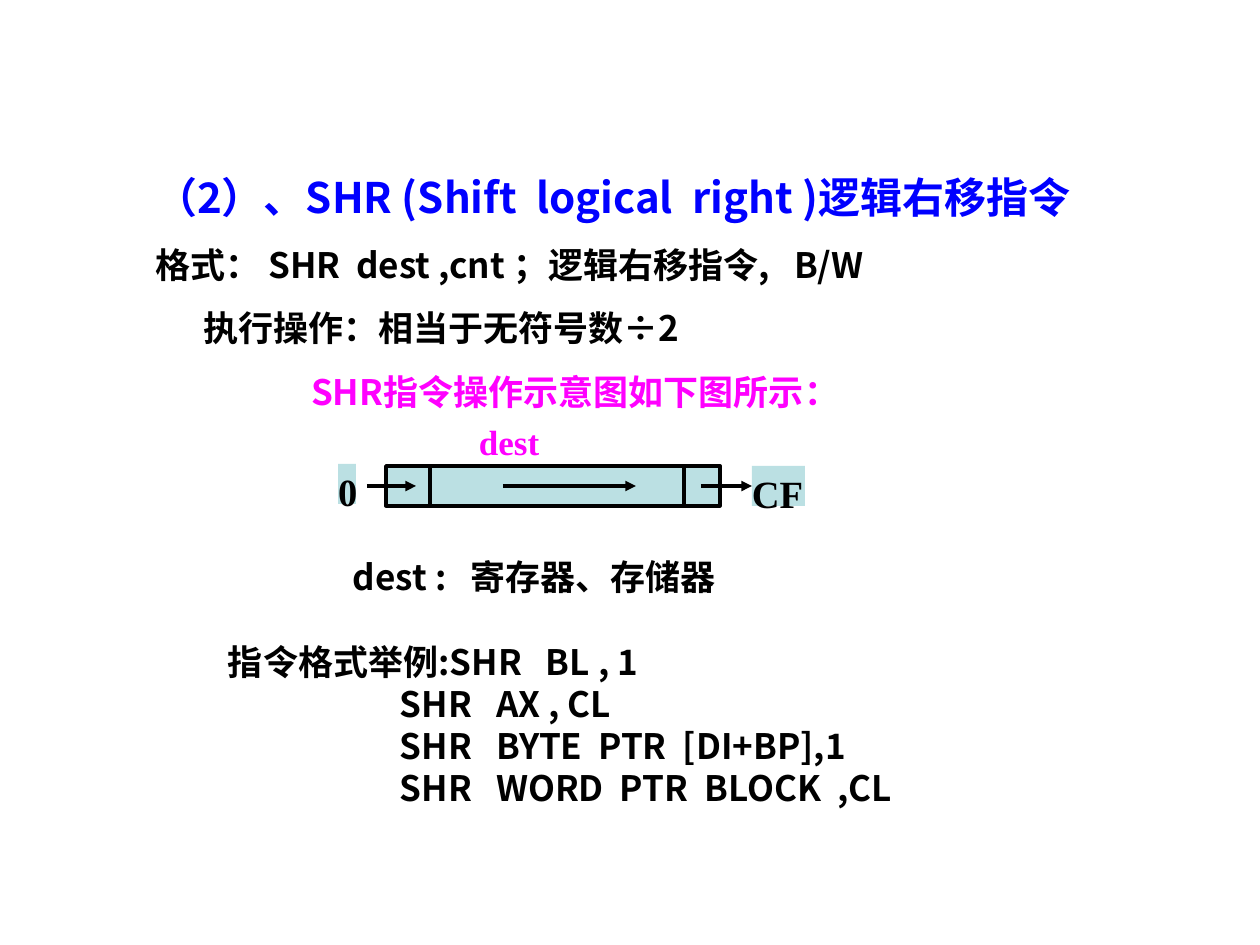
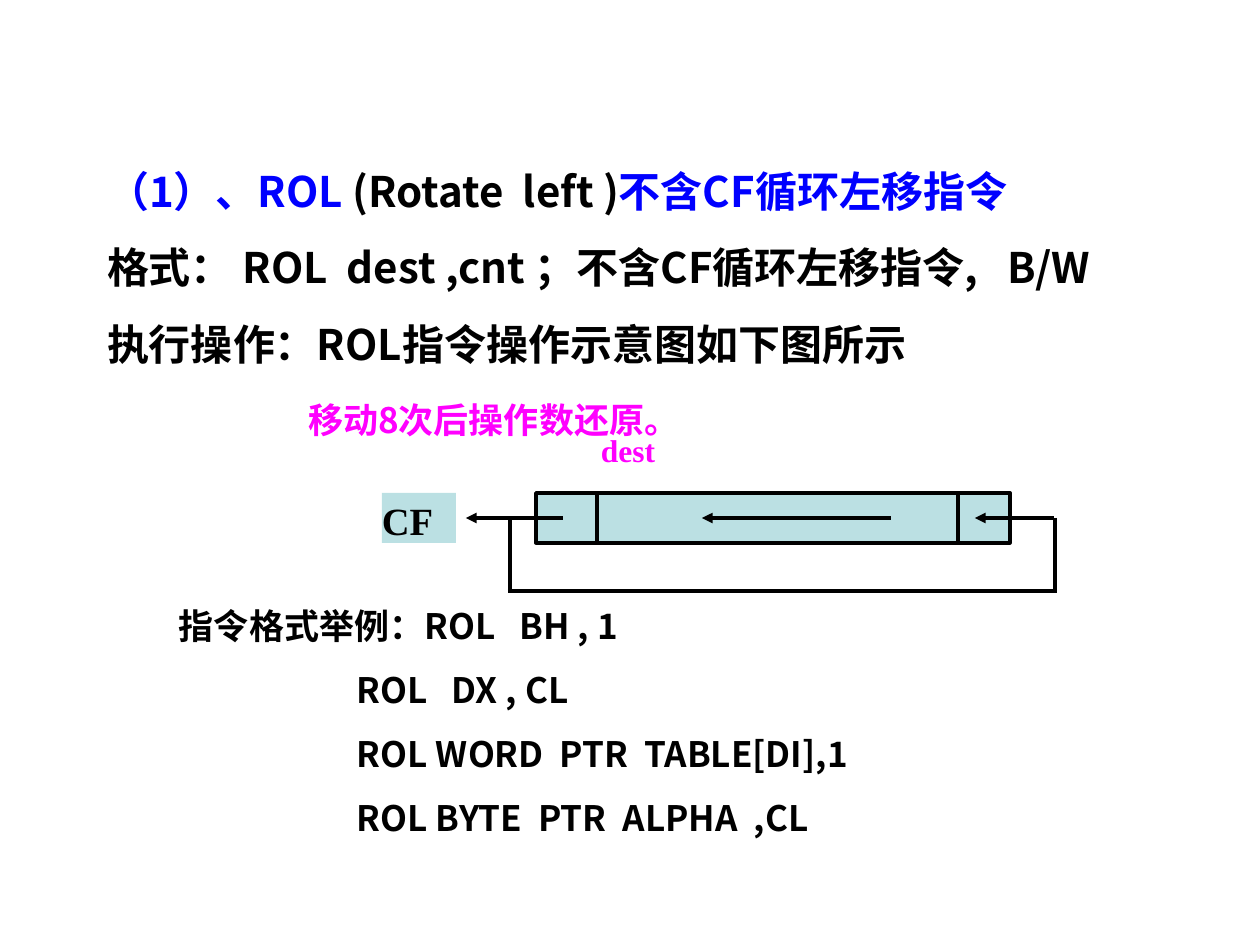
from lxml import etree
from pptx import Presentation
from pptx.dml.color import RGBColor
from pptx.enum.shapes import MSO_CONNECTOR, MSO_SHAPE
from pptx.enum.text import MSO_ANCHOR, MSO_AUTO_SIZE, PP_ALIGN
from pptx.oxml.ns import qn
from pptx.util import Emu, Pt

LINE, RECT = MSO_CONNECTOR.STRAIGHT, MSO_SHAPE.RECTANGLE
TOP, LEFT, FIXED = MSO_ANCHOR.TOP, PP_ALIGN.LEFT, MSO_AUTO_SIZE.NONE

SCALE = 914400 / 126
COLORS = {"ink": "000000", "blue": "0000FF", "pink": "FF00FF", "cell": "BBE0E3"}
SANS, SERIF = "Noto Sans CJK SC", "Times New Roman"
PAD = (13, 6, 13, 6)


def px(num):
    return Emu(round(num * SCALE))


def rgb(name):
    return RGBColor.from_string(COLORS[name])


def write(para, text, *, size=20, color="ink", font=SANS, indent=0, gap=0):
    """Fill a paragraph; text is a string or a list of (text, color) runs."""
    props = para._p.get_or_add_pPr()
    props.set("marL", str(px(indent)))
    props.set("indent", "0")
    etree.SubElement(props, qn("a:buNone"))
    para.alignment = LEFT
    para.space_before = Pt(gap)
    if font == SANS:
        para.line_spacing = Pt(size * 1.2)
    for part, tint in [(text, color)] if isinstance(text, str) else text:
        run = para.add_run()
        run.text = part
        run.font.size, run.font.bold = Pt(size), True
        run.font.color.rgb = rgb(tint)
        run.font.name = font
        east = etree.SubElement(run._r.get_or_add_rPr(), qn("a:ea"))
        east.set("typeface", font)


class Deck:
    def __init__(self):
        self.prs = Presentation()
        self.prs.slide_width, self.prs.slide_height = px(1260), px(945)
        self.slide = None

    def start(self):
        self.slide = self.prs.slides.add_slide(self.prs.slide_layouts[1])

    def fill(self, shape, rows, pad=PAD):
        """Write rows of (text, format) into a shape."""
        frame = shape.text_frame
        frame.word_wrap, frame.auto_size = True, FIXED
        frame.vertical_anchor = TOP
        (frame.margin_left, frame.margin_top,
         frame.margin_right, frame.margin_bottom) = map(px, pad)
        for i, (text, style) in enumerate(rows):
            para = frame.add_paragraph() if i else frame.paragraphs[0]
            write(para, text, **style)

    def place(self, shape, box, rows):
        shape.left, shape.top, shape.width, shape.height = map(px, box)
        self.fill(shape, rows)

    def title(self, box, text):
        self.place(self.slide.shapes.title, box,
                   [(text, dict(size=24, color="blue"))])

    def body(self, box, rows):
        self.place(self.slide.placeholders[1], box, rows)

    def note(self, box, rows):
        self.fill(self.slide.shapes.add_textbox(*map(px, box)), rows)

    def label(self, box, size):
        self.note(box, [("dest", dict(size=size, color="pink", font=SERIF))])

    def rect(self, box, edge=False):
        shape = self.slide.shapes.add_shape(RECT, *map(px, box))
        shape.shadow.inherit = False
        shape.fill.solid()
        shape.fill.fore_color.rgb = rgb("cell")
        if edge:
            shape.line.color.rgb, shape.line.width = rgb("ink"), Pt(2)
        else:
            shape.line.fill.background()
        return shape

    def flag(self, box, text):
        shape = self.rect(box)
        self.fill(shape, [(text, dict(size=22, font=SERIF))], (0, 4, 0, 0))
        return shape

    def line(self, x1, y1, x2, y2, head=False):
        link = self.slide.shapes.add_connector(LINE, *map(px, (x1, y1, x2, y2)))
        link.line.color.rgb, link.line.width = rgb("ink"), Pt(2)
        if head:
            tip = etree.SubElement(link.line._get_or_add_ln(), qn("a:tailEnd"))
            tip.set("type", "triangle")
        etree.SubElement(link._element.spPr, qn("a:effectLst"))
        return link

    def arrow(self, x1, x2, y):
        return self.line(x1, y, x2, y, head=True)

    def cells(self, box, cuts):
        """Draw a register split at the given x positions."""
        self.rect(box, edge=True)
        for x in cuts:
            self.line(x, box[1], x, box[1] + box[3])


def shift(deck):
    deck.start()
    deck.title((142, 165, 1071, 64), "（2）、SHR (Shift  logical  right )逻辑右移指令")
    deck.body((142, 237, 1071, 190), [
        ("格式： SHR  dest ,cnt ；逻辑右移指令,   B/W", {}),
        ("执行操作：相当于无符号数÷2", dict(indent=48, gap=12.5)),
        ("SHR指令操作示意图如下图所示：", dict(indent=156, gap=12.5, color="pink")),
    ])

    # Register diagram
    deck.label((466, 414, 136, 55), 20)
    deck.cells((386, 466, 334, 40), (430, 684))
    deck.flag((338, 464, 18, 40), "0")
    carry = deck.flag((752, 466, 53, 40), "CF")
    deck.arrow(367, 416, 486)
    deck.arrow(503, 636, 486)
    deck.arrow(701, 752, 486).end_connect(carry, 1)

    # Operands and examples
    code = ["SHR   AX , CL", "SHR   BYTE  PTR  [DI+BP],1",
            "SHR   WORD  PTR  BLOCK  ,CL"]
    deck.note((215, 549, 924, 270), [
        ("dest :   寄存器、存储器", dict(indent=125)),
        ("指令格式举例:SHR   BL , 1", dict(gap=25)),
        *((text, dict(indent=172)) for text in code),
    ])


def rotate(deck):
    deck.start()
    deck.title((94, 159, 1134, 64), [
        ("（1）、ROL", "blue"), (" (Rotate  left )", "ink"),
        ("不含CF循环左移指令", "blue")])
    deck.body((94, 236, 1134, 210), [
        ("格式： ROL  dest ,cnt ；不含CF循环左移指令,   B/W", dict(size=24)),
        ("执行操作：ROL指令操作示意图如下图所示", dict(size=24, gap=15)),
        ("移动8次后操作数还原。", dict(indent=201, gap=17, color="pink")),
    ])

    # Register diagram
    deck.label((588, 425, 100, 50), 18)
    deck.cells((536, 493, 474, 50), (597, 958))
    deck.flag((382, 493, 74, 50), "CF")
    for start, end in ((891, 702), (1054, 975), (563, 466)):
        deck.arrow(start, end, 518)

    # Loop back to the low end
    for x in (510, 1055):
        deck.line(x, 518, x, 591)
    deck.line(508, 591, 1057, 591)

    # Examples
    code = ["ROL   DX , CL", "ROL WORD  PTR  TABLE[DI],1",
            "ROL BYTE  PTR  ALPHA  ,CL"]
    deck.note((166, 599, 895, 280), [
        ("指令格式举例：ROL   BH , 1", {}),
        *((text, dict(indent=178, gap=12.5)) for text in code),
    ])


def main():
    deck = Deck()
    shift(deck)
    rotate(deck)
    deck.prs.save("out.pptx")


if __name__ == "__main__":
    main()
